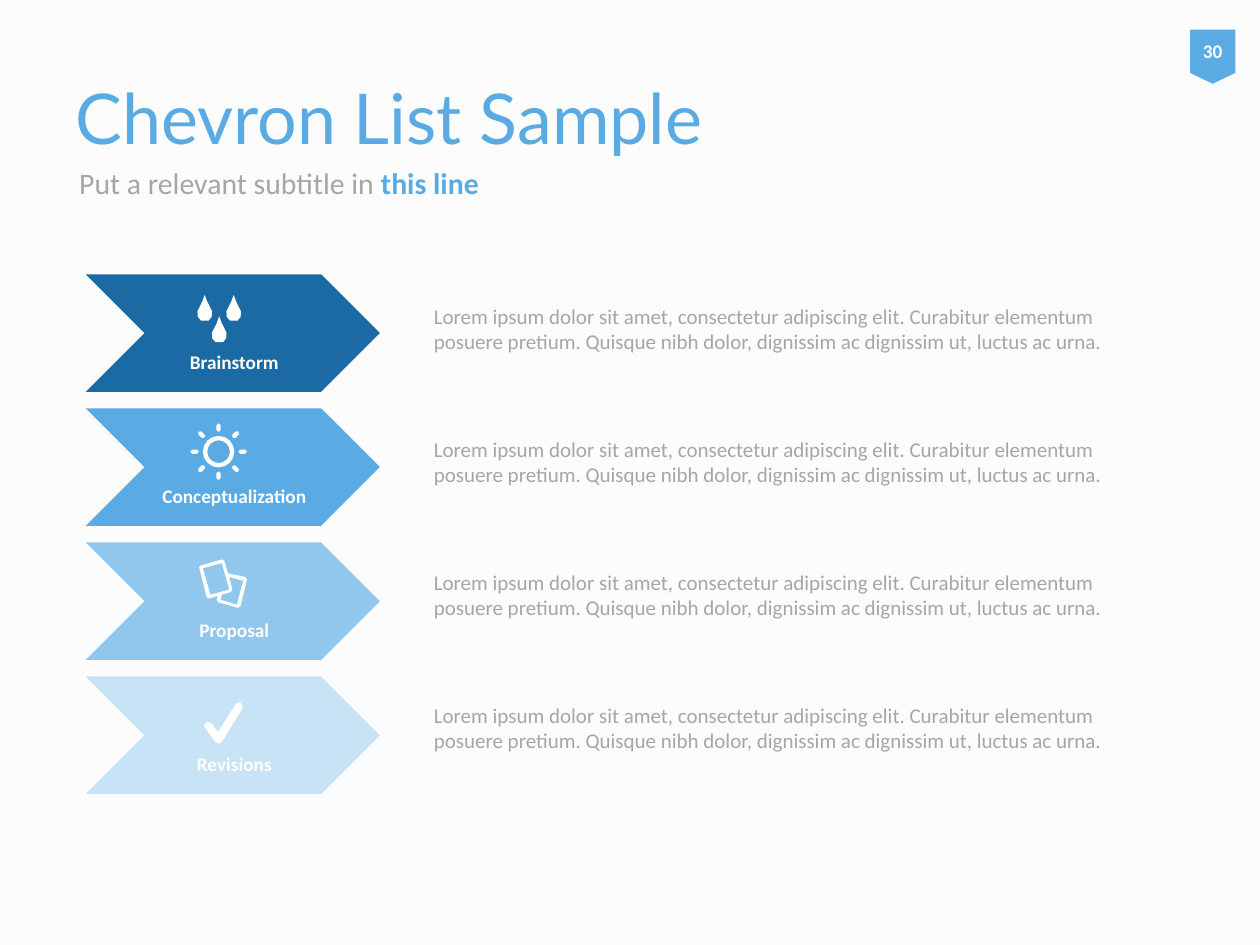
"""Build a slide with a list of four chevrons, each with an icon, a label and a text."""
import math
import pptx
import pptx.util
import pptx.dml.color
import pptx.enum.shapes
import pptx.enum.text

SHAPE = pptx.enum.shapes.MSO_SHAPE
ALIGN = pptx.enum.text.PP_ALIGN
MID = pptx.enum.text.MSO_ANCHOR.MIDDLE
TOP = pptx.enum.text.MSO_ANCHOR.TOP
BLUE, GREY, WHITE = "5AAAE4", "A6A6A6", "FFFFFF"
LOREM = ("Lorem ipsum dolor sit amet, consectetur adipiscing elit. Curabitur elementum "
         "posuere pretium. Quisque nibh dolor, dignissim ac dignissim ut, luctus ac urna.")

deck = pptx.Presentation()
deck.slide_width = pptx.util.Inches(10)
deck.slide_height = pptx.util.Inches(7.5)
col = deck.slide_width // 100
row = deck.slide_height // 75
slide = deck.slides.add_slide(deck.slide_layouts[6])
shapes = slide.shapes


def paint(fill, tint):
    fill.solid()
    fill.fore_color.rgb = pptx.dml.color.RGBColor.from_string(tint)


def write(frame, parts, size, face="Calibri", anchor=MID, align=ALIGN.LEFT, pad=True):
    frame.word_wrap = True
    frame.vertical_anchor = anchor
    if not pad:
        frame.margin_left = frame.margin_right = frame.margin_top = frame.margin_bottom = 0
    line = frame.paragraphs[0]
    line.alignment = align
    for words, tint, bold in parts:
        run = line.add_run()
        run.text = words
        run.font.name = face
        run.font.size = pptx.util.Pt(size)
        run.font.bold = bold
        paint(run.font.fill, tint)


paint(slide.background.fill, "FCFCFC")
title = shapes.add_textbox(5 * col, 3 * row, int(88.3 * col), int(12.5 * row))
write(title.text_frame, [("Chevron List Sample", BLUE, False)], 40, "Lato")
sub = shapes.add_textbox(int(5.3 * col), int(11.85 * row), int(49.5 * col), int(5.3 * row))
write(sub.text_frame, [("Put a relevant subtitle in ", GREY, False), ("this line", BLUE, True)], 17)

half = [(0, 0), (0.2, 0.55), (0.58, 1.3), (0.55, 1.75), (0.3, 2.05)]
drop = half + [(-x, y) for x, y in half[:0:-1]]
drops = [[(left + x, top + y) for x, y in drop]
         for left, top in [(16.25, 23.4), (18.55, 23.4), (17.4, 25.1)]]

turns = [math.tau * n / 16 for n in range(16)]
sun = [[(17.35 + r * math.cos(a), 35.85 + r * math.sin(a)) for a in turns] for r in (1.25, 0.9)]
beam = [(1.57, 0), (1.7, 0.17), (2.1, 0.17), (2.25, 0), (2.1, -0.17), (1.7, -0.17)]
for n in range(8):
    c, s = math.cos(n * math.pi / 4), math.sin(n * math.pi / 4)
    sun.append([(17.35 + c * u - s * v, 35.85 + s * u + c * v) for u, v in beam])

cards = [
    [(15.8, 45), (15.9, 44.9), (17.6, 44.4), (17.8, 44.5), (18.1, 45.5), (19.5, 45.8), (19.6, 46),
     (19.1, 48.1), (18.9, 48.25), (17.3, 47.8), (17.2, 47.6), (17.3, 47.3), (16.6, 47.5), (16.4, 47.4)],
    [(16.1, 45.1), (17.6, 44.7), (18.2, 46.8), (16.7, 47.2)],
    [(18.8, 48), (17.5, 47.6), (17.6, 47.2), (18.3, 47), (18.45, 46.8), (18.2, 45.8), (19.3, 46.1)],
]
check = [[(17.4, 59), (17.1, 58.9), (16.3, 57.8), (16.2, 57.6), (16.3, 57.4), (16.55, 57.3),
          (16.8, 57.4), (17.3, 58.1), (18.7, 55.9), (18.9, 55.75), (19.1, 55.8), (19.25, 56),
          (19.2, 56.3), (17.6, 58.9)]]

steps = [("Brainstorm", "1B6AA3"), ("Conceptualization", BLUE),
         ("Proposal", "91C6ED"), ("Revisions", "C8E3F6")]
for n, (name, tint) in enumerate(steps):
    top = int((21.77 + 10.64 * n) * row)
    arrow = shapes.add_shape(SHAPE.CHEVRON, int(6.8 * col), top, int(23.35 * col), int(9.33 * row))
    arrow.shadow.inherit = False
    paint(arrow.fill, tint)
    arrow.line.fill.background()

    label = shapes.add_textbox(int(11.5 * col), top, 14 * col, int(9.33 * row))
    write(label.text_frame, [(name, WHITE, True)], 11, align=ALIGN.CENTER, pad=False)
    label.text_frame.margin_left = int(0.2 * col)
    label.text_frame.margin_top = int(4.5 * row)

for n, icon in enumerate([drops, sun, cards, check]):
    pen = None
    for ring in icon:
        dots = [(x * col, y * row) for x, y in ring]
        if pen is None:
            pen = shapes.build_freeform(*dots[0])
        else:
            pen.move_to(*dots[0])
        pen.add_line_segments(dots[1:], close=True)
    mark = pen.convert_to_shape()
    mark.shadow.inherit = False
    paint(mark.fill, WHITE)
    mark.line.fill.background()

    body = shapes.add_textbox(int(33.45 * col), int((23.57 + 10.56 * n) * row),
                              int(59.8 * col), int(6.1 * row))
    write(body.text_frame, [(LOREM, GREY, False)], 12, anchor=TOP)

badge = shapes.add_shape(SHAPE.FLOWCHART_OFFPAGE_CONNECTOR, int(94.45 * col), int(2.35 * row),
                         int(3.6 * col), int(4.3 * row))
badge.shadow.inherit = False
paint(badge.fill, BLUE)
badge.line.fill.background()
write(badge.text_frame, [("30", WHITE, True)], 11, align=ALIGN.CENTER, pad=False)

deck.save("out.pptx")
